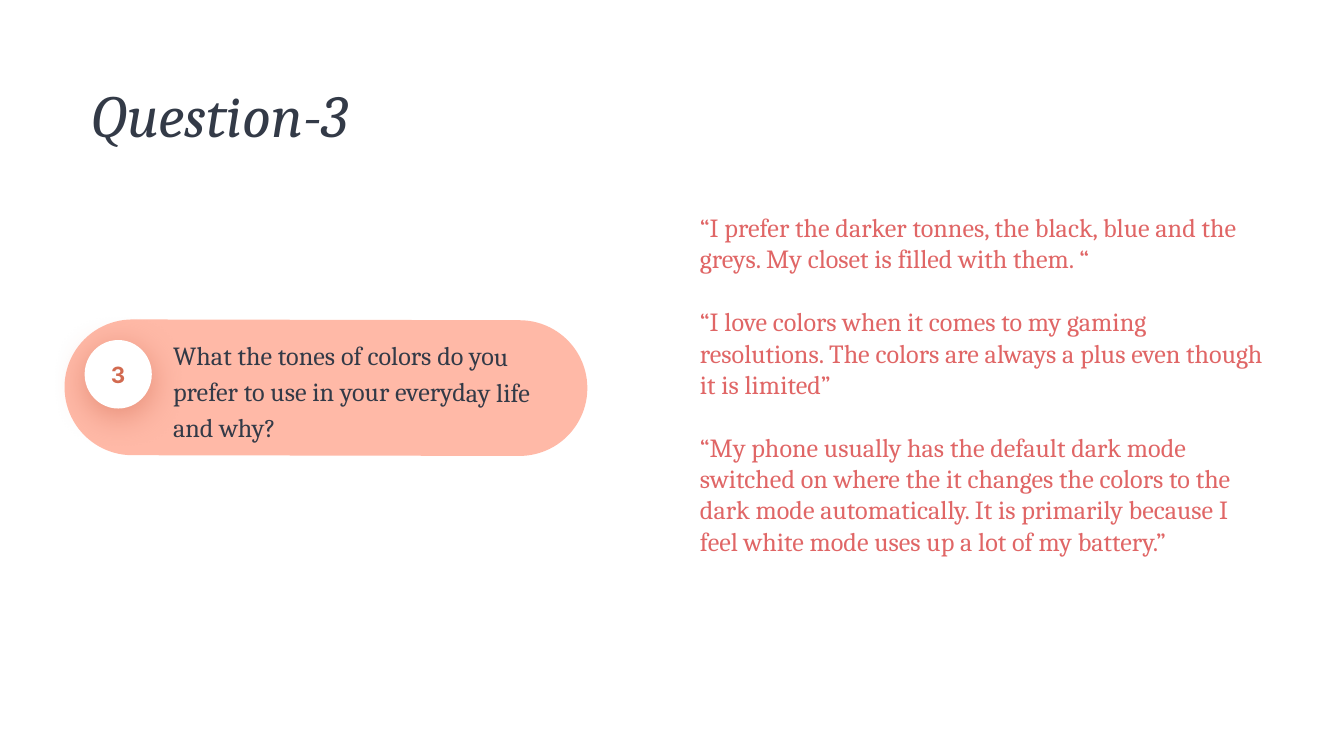
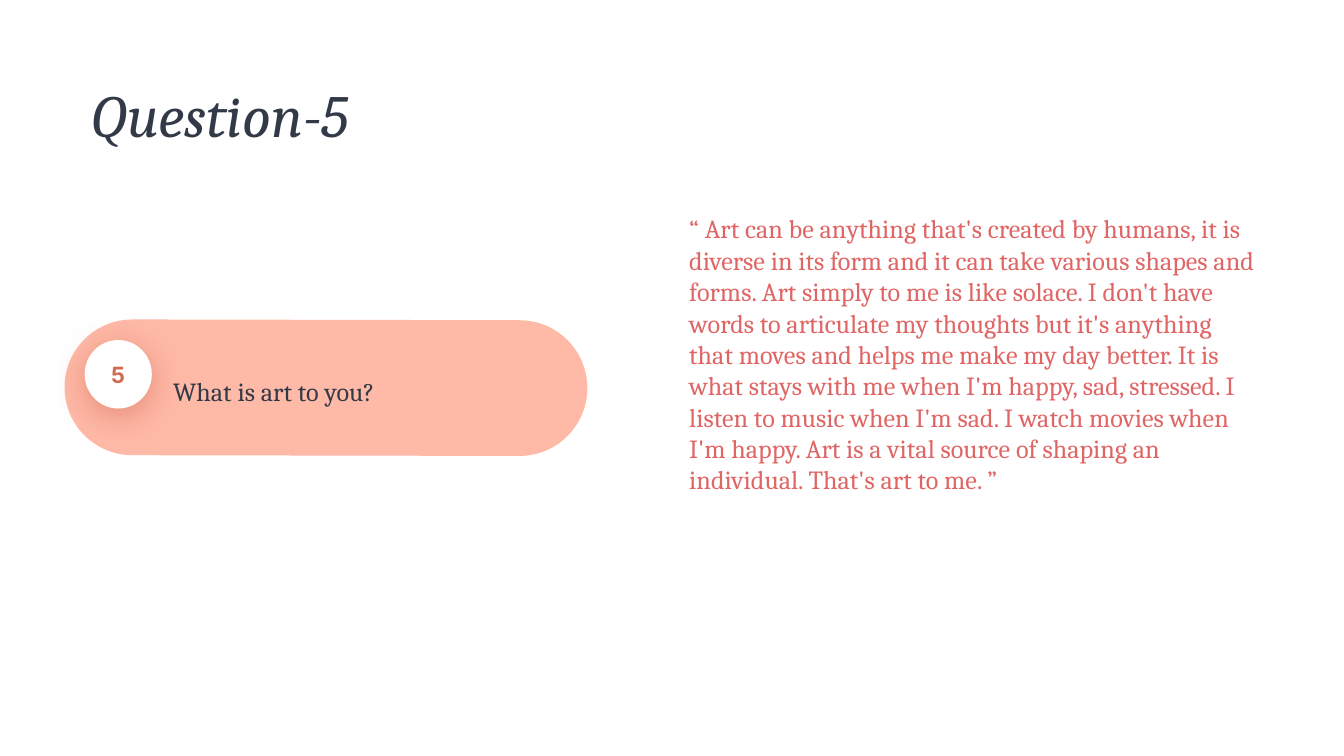
from lxml.etree import SubElement
from pptx import Presentation
from pptx.dml.color import RGBColor
from pptx.enum.shapes import MSO_SHAPE as Shape
from pptx.enum.text import MSO_ANCHOR as Anchor, MSO_AUTO_SIZE as AutoSize, PP_ALIGN as Align
from pptx.oxml.ns import qn
from pptx.util import Inches, Pt

# Content
QUESTIONS = [
    {
        "number": 3,
        "question": "What the tones of colors do you prefer to use in your everyday life and why?",
        "answers": [
            "“I prefer the darker tonnes, the black, blue and the greys. "
            "My closet is filled with them. “",
            "“I love colors when it comes to my gaming resolutions. "
            "The colors are always a plus even though it is limited”",
            "“My phone usually has the default dark mode switched on where the it "
            "changes the colors to the dark mode automatically. It is primarily "
            "because I feel white mode uses up a lot of my battery.”",
        ],
        "answer_box": (5.11, 1.24, 4.43, 3.27),
    },
    {
        "number": 5,
        "question": "What is art to you?",
        "answers": [
            "“ Art can be anything that's created by humans, it is diverse in its form "
            "and it can take various shapes and forms. Art simply to me is like solace. "
            "I don't have words to articulate my thoughts but it's anything that moves "
            "and helps me make my day better. It is what stays with me when I'm happy, "
            "sad, stressed. I listen to music when I'm sad. I watch movies when I'm "
            "happy. Art is a vital source of shaping an individual. That's art to me. ”",
        ],
        "answer_box": (5.03, 1.25, 4.43, 2.75),
    },
]

# Shared look
WHITE = RGBColor(0xFF, 0xFF, 0xFF)
INK = RGBColor(0x33, 0x3A, 0x47)
PEACH = RGBColor(0xFF, 0xB9, 0xA7)
RUST = RGBColor(0xD2, 0x6A, 0x50)
CORAL = RGBColor(0xE0, 0x66, 0x66)

TITLE = {"name": "Cambria", "size": Pt(32), "italic": True}
BODY = {"name": "Cambria", "size": Pt(14)}
BADGE = {"name": "Inter", "size": Pt(12), "bold": True}

SLIDE_WIDTH = 10
SLIDE_HEIGHT = SLIDE_WIDTH * 9 / 16
TITLE_BOX = (0.67, 0.64, 4.49, 0.48)
PILL_BOX = (1.92, 0.94, 1.01, 3.89)
BADGE_BOX = (0.63, 2.53, 0.5, 0.51)
QUESTION_BOX = (1.19, 2.56, 3.07, 0.67)
TILT = 0.1
INSET = 0.1
ANSWER_LINE = 16.8  # height of one answer line, in points


def write(box, texts, font, color, inset=INSET, top=None, anchor=Anchor.MIDDLE, **paragraph):
    """Fill a shape with paragraphs that share one format."""
    frame = box.text_frame
    frame.word_wrap = True
    frame.vertical_anchor = anchor
    for side in ("left", "right", "top", "bottom"):
        setattr(frame, f"margin_{side}", Inches(inset))
    if top is not None:
        frame.margin_top = Inches(top)
    for index, text in enumerate(texts):
        para = frame.paragraphs[0] if index == 0 else frame.add_paragraph()
        for key, value in paragraph.items():
            if index or key != "space_before":
                setattr(para, key, value)
        span = para.add_run()
        span.text = text
        for key, value in font.items():
            setattr(span.font, key, value)
        span.font.color.rgb = color


def add_text(shapes, place, *args, **options):
    box = shapes.add_textbox(*map(Inches, place))
    write(box, *args, **options)
    return box


def add_solid(shapes, kind, place, color):
    shape = shapes.add_shape(kind, *map(Inches, place))
    shape.shadow.inherit = False
    shape.fill.solid()
    shape.fill.fore_color.rgb = color
    shape.line.fill.background()
    return shape


def add_glow(shape, color, alpha=55, blur=18, distance=4, angle=90):
    """Put a soft outer shadow below the shape."""
    effects = shape._element.spPr.find(qn("a:effectLst"))
    shadow = SubElement(effects, qn("a:outerShdw"), blurRad=str(Pt(blur)),
                        dist=str(Pt(distance)), dir=str(angle * 60000),
                        algn="bl", rotWithShape="0")
    tint = SubElement(shadow, qn("a:srgbClr"), val=str(color))
    SubElement(tint, qn("a:alpha"), val=str(alpha * 1000))


def add_question(page, number, question):
    """Draw the pill with its numbered badge and the question."""
    shapes = page.shapes.add_group_shape().shapes
    pill = add_solid(shapes, Shape.ROUNDED_RECTANGLE, PILL_BOX, PEACH)
    pill.adjustments[0] = 0.5
    pill.rotation = 90 + TILT
    badge = add_solid(shapes, Shape.OVAL, BADGE_BOX, WHITE)
    add_glow(badge, RUST)
    write(badge, [str(number)], BADGE, RUST, alignment=Align.CENTER)
    label = add_text(shapes, QUESTION_BOX, [question], BODY, INK, line_spacing=1.15)
    label.rotation = TILT


def add_page(deck, number, question, answers, answer_box):
    page = deck.slides.add_slide(deck.slide_layouts[6])
    page.background.fill.solid()
    page.background.fill.fore_color.rgb = WHITE
    add_text(page.shapes, TITLE_BOX, [f"Question-{number}"], TITLE, INK,
             inset=0, line_spacing=0.9)
    add_question(page, number, question)
    # Answers start one line down and stand one line apart
    box = add_text(page.shapes, answer_box, answers, BODY, CORAL,
                   top=INSET + ANSWER_LINE / 72, anchor=Anchor.TOP,
                   space_before=Pt(ANSWER_LINE))
    box.text_frame.auto_size = AutoSize.SHAPE_TO_FIT_TEXT


def main():
    deck = Presentation()
    deck.slide_width = Inches(SLIDE_WIDTH)
    deck.slide_height = Inches(SLIDE_HEIGHT)
    for entry in QUESTIONS:
        add_page(deck, **entry)
    deck.save("out.pptx")


if __name__ == "__main__":
    main()
